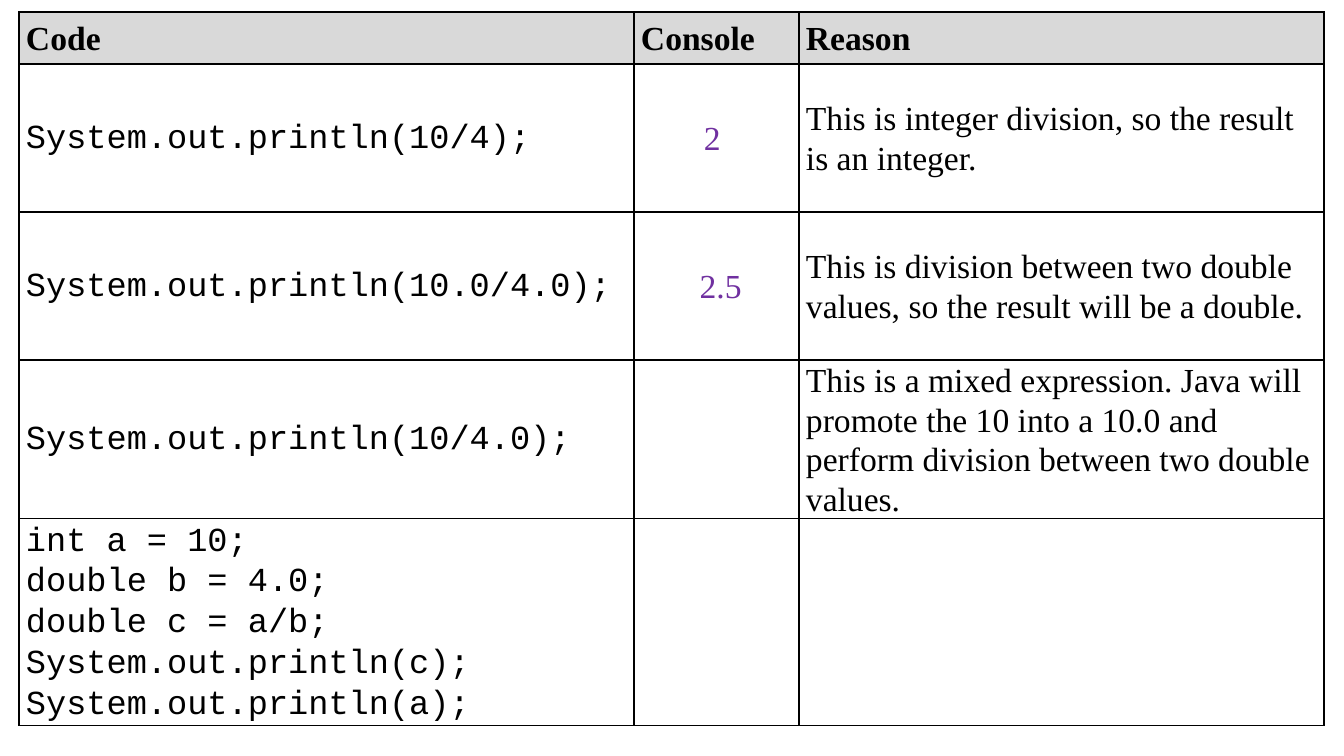
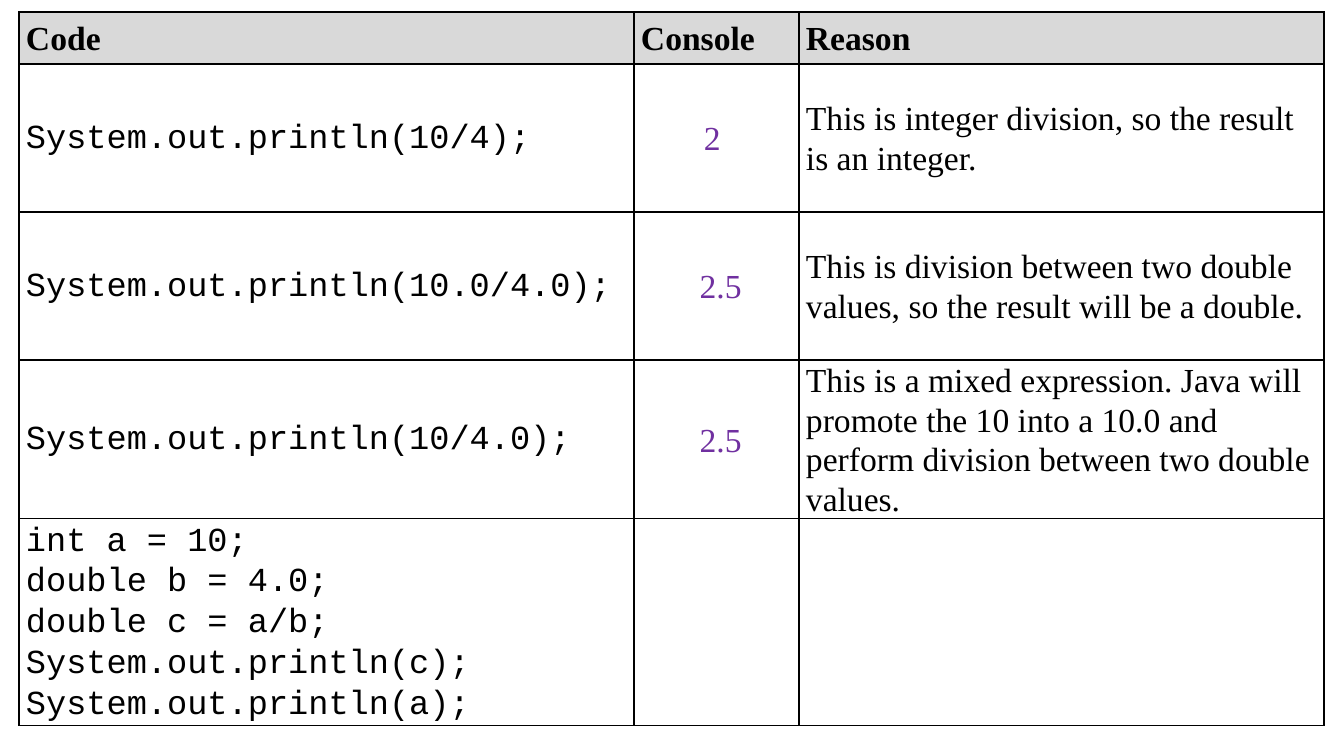
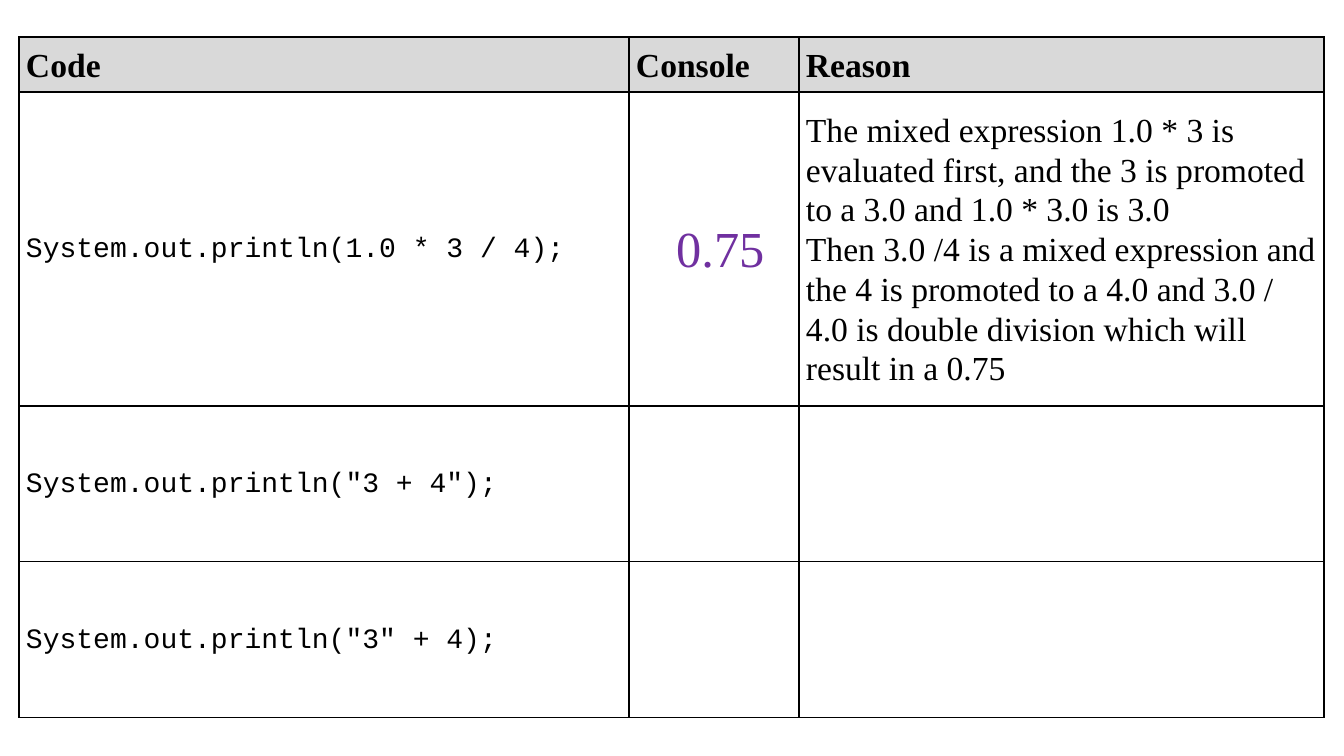
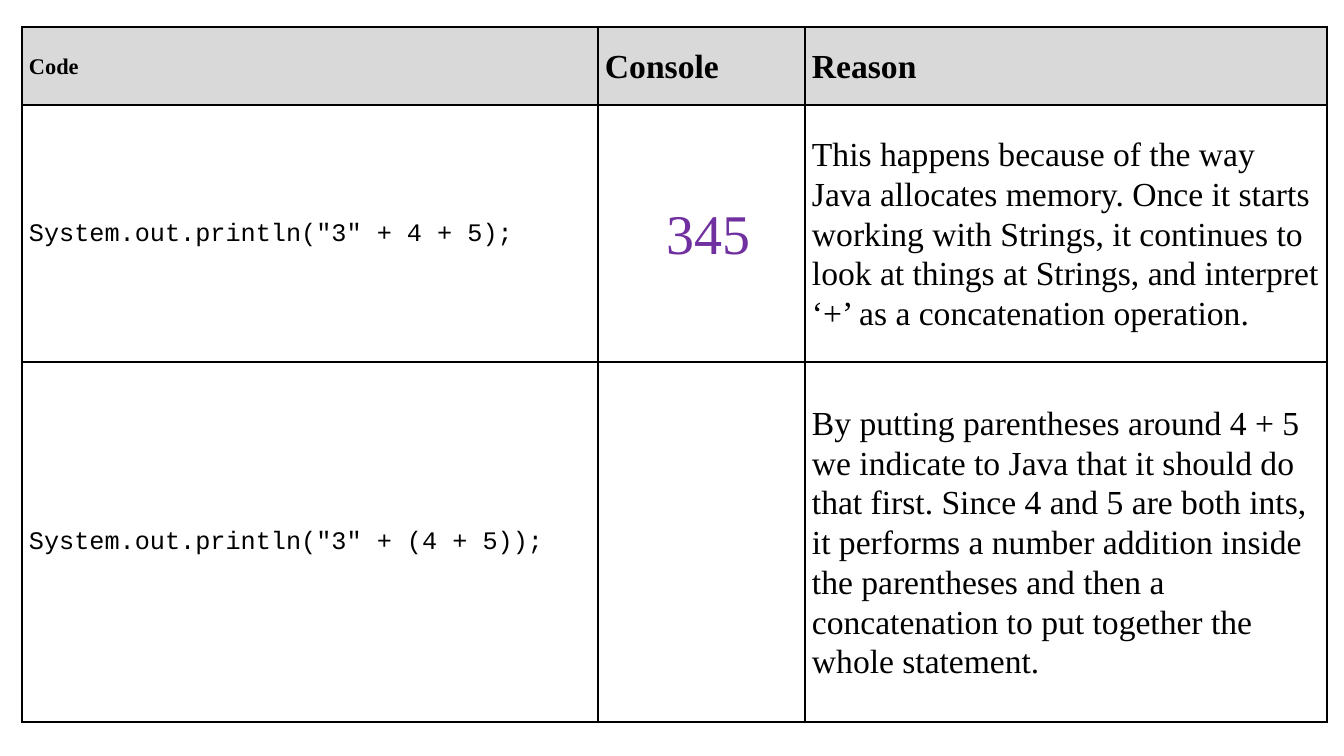
"""Build four slides of code, console output and reasons."""
from dataclasses import dataclass, replace

from lxml.etree import SubElement
from pptx import Presentation
from pptx.dml.color import RGBColor
from pptx.enum.text import MSO_ANCHOR as Anchor, PP_ALIGN as Align
from pptx.oxml.ns import qn
from pptx.slide import Slide
from pptx.table import _Cell as Cell
from pptx.util import Emu, Pt

EMU_PER_PX = 914400 / 100.8
SERIF, MONO = "Times New Roman", "Courier New"
BLACK, PURPLE, GREY = "000000", "7030A0", "D9D9D9"
HEADINGS = ("Code", "Console", "Reason")
SIDE_MARGIN = 7


@dataclass(frozen=True)
class TextStyle:
    font: str
    size: int
    color: str = BLACK
    bold: bool = False
    align: Align = Align.LEFT


@dataclass(frozen=True)
class Example:
    height: int
    code: str
    console: str = ""
    reason: str = ""


@dataclass(frozen=True)
class Lesson:
    left: int
    top: int
    widths: tuple[int, int, int]
    heading_height: int
    examples: tuple[Example, ...]
    code_size: int = 24
    console_size: int = 24
    code_heading_size: int = 24


def px(length: int) -> Emu:
    return Emu(round(length * EMU_PER_PX))


def rgb(color: str) -> RGBColor:
    return RGBColor.from_string(color)


def add_borders(cell: Cell) -> None:
    properties = cell._tc.get_or_add_tcPr()
    for side in ("lnL", "lnR", "lnT", "lnB"):
        border = SubElement(properties, qn(f"a:{side}"), w=str(Pt(1)))
        fill = SubElement(border, qn("a:solidFill"))
        SubElement(fill, qn("a:srgbClr"), val=BLACK)


def fill_cell(cell: Cell, content: str, style: TextStyle, shade: str = "") -> None:
    add_borders(cell)
    if shade:
        cell.fill.solid()
        cell.fill.fore_color.rgb = rgb(shade)
    else:
        cell.fill.background()
    cell.vertical_anchor = Anchor.MIDDLE
    cell.margin_left = cell.margin_right = px(SIDE_MARGIN)
    cell.margin_top = cell.margin_bottom = 0
    cell.text_frame.text = content
    for paragraph in cell.text_frame.paragraphs:
        paragraph.alignment = style.align
        paragraph.line_spacing = 1.07
        for run in paragraph.runs:
            run.font.name = style.font
            run.font.size = Pt(style.size)
            run.font.bold = style.bold
            run.font.color.rgb = rgb(style.color)


def add_lesson(slide: Slide, lesson: Lesson) -> None:
    heights = [lesson.heading_height, *(example.height for example in lesson.examples)]
    grid = slide.shapes.add_table(
        len(heights), len(HEADINGS), px(lesson.left), px(lesson.top),
        px(sum(lesson.widths)), px(sum(heights)),
    ).table
    grid.horz_banding = False
    for column, width in zip(grid.columns, lesson.widths):
        column.width = px(width)
    for row, height in zip(grid.rows, heights):
        row.height = px(height)

    heading = TextStyle(SERIF, 24, bold=True)
    code_heading = replace(heading, size=lesson.code_heading_size)
    for cell, label, style in zip(grid.rows[0].cells, HEADINGS, (code_heading, heading, heading)):
        fill_cell(cell, label, style, GREY)

    styles = (
        TextStyle(MONO, lesson.code_size),
        TextStyle(SERIF, lesson.console_size, PURPLE, align=Align.CENTER),
        TextStyle(SERIF, 24),
    )
    for number, example in enumerate(lesson.examples, start=1):
        contents = (example.code, example.console, example.reason)
        for cell, content, style in zip(grid.rows[number].cells, contents, styles):
            fill_cell(cell, content, style)


MIXED = Example(
    148, "System.out.println(10/4.0);",
    reason="This is a mixed expression. Java will promote the 10 into a 10.0 "
    "and perform division between two double values.",
)
DIVISION = Lesson(19, 12, (615, 165, 525), 52, (
    Example(148, "System.out.println(10/4);", "2 ",
            "This is integer division, so the result is an integer."),
    Example(148, "System.out.println(10.0/4.0);", " 2.5",
            "This is division between two double values, so the result will be a double."),
    MIXED,
    Example(207, "int a = 10;\ndouble b = 4.0;\ndouble c = a/b;\n"
            "System.out.println(c);\nSystem.out.println(a);"),
))
DIVISION_ANSWERED = replace(DIVISION, examples=tuple(
    replace(example, console=" 2.5") if example is MIXED else example
    for example in DIVISION.examples
))
PROMOTION = Lesson(19, 37, (610, 170, 525), 55, (
    Example(314, "System.out.println(1.0 * 3 / 4);", " 0.75",
            "The mixed expression 1.0 * 3 is evaluated first, and the 3 is promoted "
            "to a 3.0 and 1.0 * 3.0 is 3.0\n"
            "Then 3.0 /4 is a mixed expression and the 4 is promoted to a 4.0 and "
            "3.0 / 4.0 is double division which will result in a 0.75"),
    Example(156, 'System.out.println("3 + 4");'),
    Example(156, 'System.out.println("3" + 4);'),
), code_size=20, console_size=36)
CONCATENATION = Lesson(22, 27, (576, 207, 522), 78, (
    Example(257, 'System.out.println("3" + 4 + 5);', " 345",
            "This happens because of the way Java allocates memory. Once it starts "
            "working with Strings, it continues to look at things at Strings, and "
            "interpret ‘+’ as a concatenation operation."),
    Example(360, 'System.out.println("3" + (4 + 5));',
            reason="By putting parentheses around 4 + 5 we indicate to Java that it should "
            "do that first. Since 4 and 5 are both ints, it performs a number addition "
            "inside the parentheses and then a concatenation to put together the whole "
            "statement."),
), code_size=18, console_size=40, code_heading_size=16)


def main() -> None:
    deck = Presentation()
    deck.slide_width, deck.slide_height = px(1344), px(756)
    blank = deck.slide_layouts[6]
    for lesson in (DIVISION, DIVISION_ANSWERED, PROMOTION, CONCATENATION):
        add_lesson(deck.slides.add_slide(blank), lesson)
    deck.save("out.pptx")


if __name__ == "__main__":
    main()
